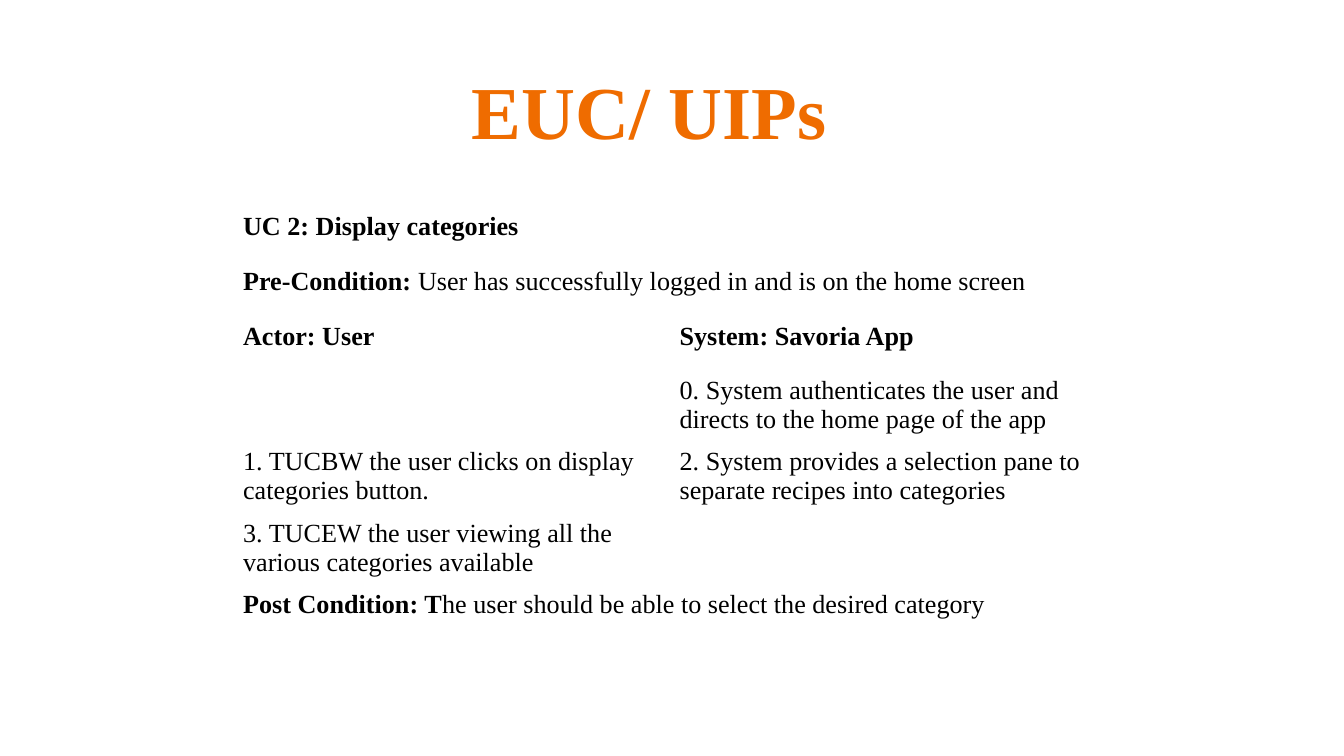
import pptx
import pptx.dml.color
import pptx.enum.text
import pptx.util
from dataclasses import dataclass

Cm = pptx.util.Cm
RGB = pptx.dml.color.RGBColor


@dataclass(frozen=True)
class Theme:
    font: str = "Times New Roman"
    title_color: RGB = RGB(0xEF, 0x6C, 0x00)
    text_color: RGB = RGB(0, 0, 0)
    title_size: int = 40
    text_size: int = 14


theme = Theme()


def add_span(para, text, size, color, bold):
    span = para.add_run()
    span.text = text
    span.font.color.rgb = color
    formats = {"name": theme.font, "size": pptx.util.Pt(size), "bold": bold}
    for name, value in formats.items():
        setattr(span.font, name, value)


deck = pptx.Presentation()
deck.slide_width, deck.slide_height = Cm(25.4), Cm(14.28)
page = deck.slides.add_slide(deck.slide_layouts[5])

# Title
title = page.shapes.title
for name, value in {"left": 0.61, "top": 0.79, "width": 23.67, "height": 1.96}.items():
    setattr(title, name, Cm(value))
frame_formats = {
    "margin_left": Cm(0.25),
    "margin_right": Cm(0.25),
    "margin_top": Cm(0.43),
    "margin_bottom": Cm(0.25),
    "vertical_anchor": pptx.enum.text.MSO_ANCHOR.TOP,
    "auto_size": pptx.enum.text.MSO_AUTO_SIZE.NONE,
    "word_wrap": True,
}
for name, value in frame_formats.items():
    setattr(title.text_frame, name, value)
heading = title.text_frame.paragraphs[0]
heading.alignment = pptx.enum.text.PP_ALIGN.CENTER
add_span(heading, "EUC/ UIPs ", theme.title_size, theme.title_color, True)

# Use case: each cell holds (bold text, regular text); a single cell spans the row
use_case = [
    [("UC 2: Display categories", "")],
    [("Pre-Condition: ", "User has successfully logged in and is on the home screen")],
    [("Actor: User", ""), ("System: Savoria App", "")],
    [("", ""),
     ("", "0. System authenticates the user and directs to the home page of the app")],
    [("", "1. TUCBW the user clicks on display categories button."),
     ("", "2. System provides a selection pane to separate recipes into categories")],
    [("", "3. TUCEW the user viewing all the various categories available"), ("", "")],
    [("Post Condition: T", "he user should be able to select the desired category")],
]
column_widths = [8.25, 8.46]
row_height = 1.03

table = page.shapes.add_table(
    len(use_case), len(column_widths), Cm(4.34), Cm(3.89),
    Cm(sum(column_widths)), Cm(row_height * len(use_case)),
).table
table.first_row = table.horz_banding = False
for column, width in zip(table.columns, column_widths):
    column.width = Cm(width)

for row_index, entries in enumerate(use_case):
    table.rows[row_index].height = Cm(row_height)
    for cell in table.rows[row_index].cells:
        cell.fill.background()
    if len(entries) == 1:
        table.cell(row_index, 0).merge(table.cell(row_index, 1))
    for column_index, parts in enumerate(entries):
        para = table.cell(row_index, column_index).text_frame.paragraphs[0]
        for text, bold in zip(parts, (True, False)):
            if text:
                add_span(para, text, theme.text_size, theme.text_color, bold)

deck.save("out.pptx")
